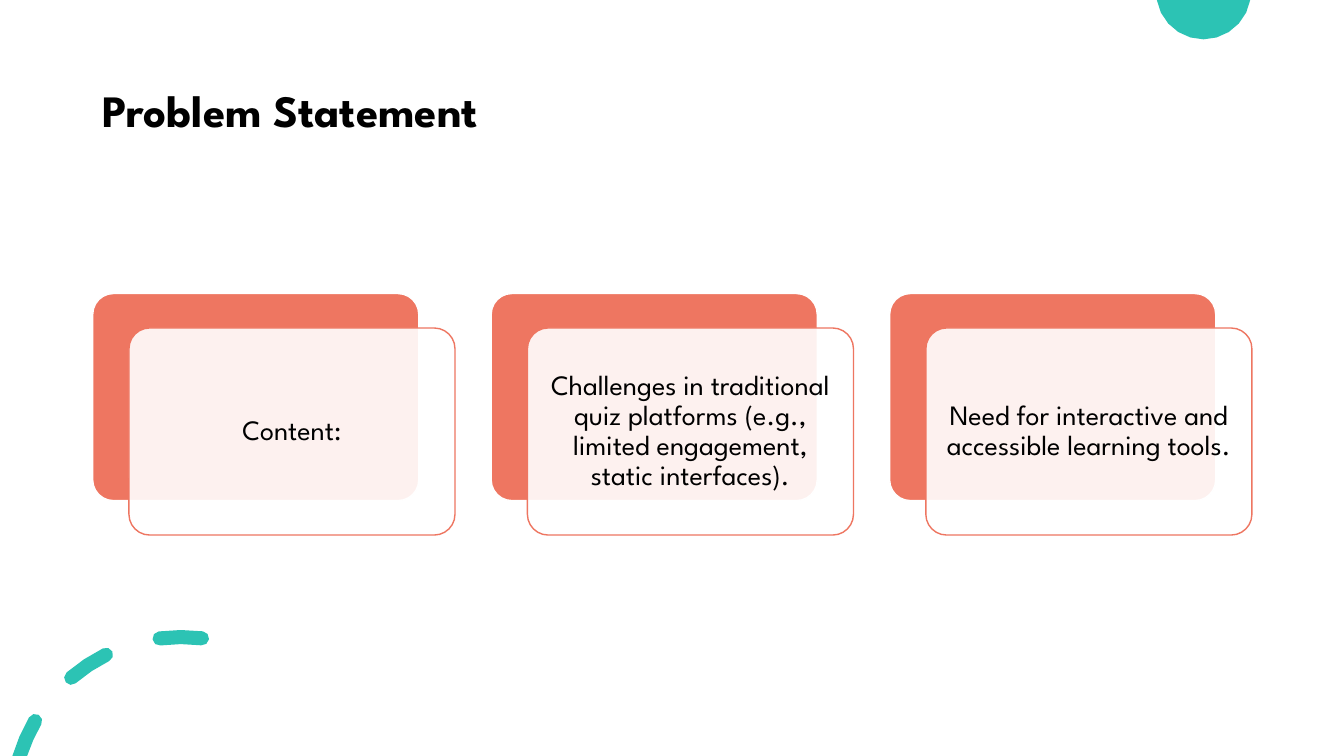
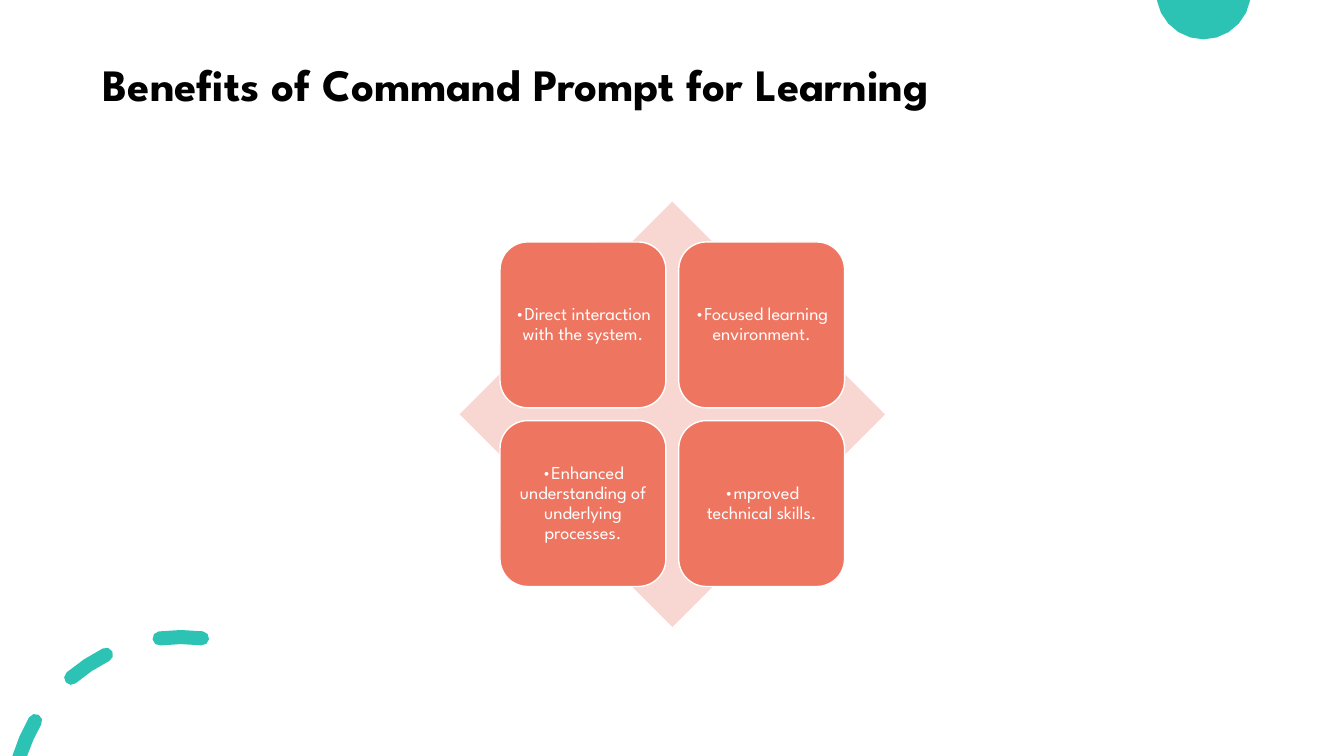
from dataclasses import dataclass
from math import asin, cos, pi, radians, sin

from lxml.etree import SubElement
from pptx import Presentation
from pptx.dml.color import RGBColor
from pptx.enum.shapes import MSO_SHAPE as Shape
from pptx.enum.text import MSO_ANCHOR as Anchor, PP_ALIGN as Align
from pptx.oxml.ns import qn
from pptx.util import Inches, Pt

# Content
PROBLEM_TITLE = "Problem Statement"
PROBLEM_CARDS = [
    "Content:",
    "Challenges in traditional quiz platforms (e.g., limited engagement, static interfaces).",
    "Need for interactive and accessible learning tools.",
]
BENEFITS_TITLE = "Benefits of Command Prompt for Learning"
BENEFIT_TILES = [
    "•Direct interaction with the system.",
    "•Focused learning environment.",
    "•Enhanced understanding of underlying processes.",
    "•mproved technical skills.",
]

# Shared content area, in inches
AREA_LEFT, AREA_WIDTH = 0.92, 11.5
AREA_TOP, AREA_HEIGHT = 2, 4.22


@dataclass(frozen=True)
class Theme:
    font: str = "League Spartan"
    black: str = "000000"
    white: str = "FFFFFF"
    coral: str = "EE7661"
    blush: str = "F8D6D2"
    teal: str = "2CC3B4"
    title_size: int = 32
    card_size: int = 20
    tile_size: int = 13


THEME = Theme()


# Text and shape helpers
def write(box, text, size, color, align, bold=False, margin=None):
    frame = box.text_frame
    frame.word_wrap = True
    frame.vertical_anchor = Anchor.MIDDLE
    if margin is not None:
        for side in ("left", "top", "right", "bottom"):
            setattr(frame, f"margin_{side}", Inches(margin))
    para = frame.paragraphs[0]
    para.alignment = align
    para.line_spacing = 0.9
    span = para.add_run()
    span.text = text
    style = {"name": THEME.font, "size": Pt(size), "bold": bold}
    for name, value in style.items():
        setattr(span.font, name, value)
    span.font.color.rgb = RGBColor.from_string(color)


def paint(shape, fill, line=None, opacity=None):
    shape.shadow.inherit = False
    shape.fill.solid()
    shape.fill.fore_color.rgb = RGBColor.from_string(fill)
    if opacity is not None:
        color = shape.element.spPr.find(qn("a:solidFill"))[0]
        SubElement(color, qn("a:alpha"), val=str(opacity * 1000))
    if line:
        shape.line.color.rgb = RGBColor.from_string(line)
        shape.line.width = Pt(1)
    else:
        shape.line.fill.background()


def add_shape(page, kind, left, top, width, height, fill, line=None,
              opacity=None, corner=None):
    shape = page.shapes.add_shape(
        kind, Inches(left), Inches(top), Inches(width), Inches(height))
    paint(shape, fill, line, opacity)
    if corner is not None:
        shape.adjustments[0] = corner
    return shape


def add_outline(page, contours, fill):
    """Draw closed contours, given in inches, as one filled shape."""
    builder = None
    for contour in contours:
        first, *rest = [(Inches(x), Inches(y)) for x, y in contour]
        if builder is None:
            builder = page.shapes.build_freeform(*first)
        else:
            builder.move_to(*first)
        builder.add_line_segments(rest, close=True)
    shape = builder.convert_to_shape()
    paint(shape, fill)
    return shape


# Shared decoration
def arc(x, y, radius, start, end, steps):
    """Points on a circle; angles run clockwise from the left, in radians."""
    angles = [start + (end - start) * i / steps for i in range(steps + 1)]
    return [(x - radius * cos(a), y - radius * sin(a)) for a in angles]


def dash(start, end):
    """A round-ended piece of the ring; without a start it begins at the slide edge."""
    x, y, radius, half = 1.8, 8, 1.68, 0.07
    outer, inner = radius + half, radius - half
    finish = radians(end)

    def begin(r):
        return asin((y - 7.5) / r) if start is None else radians(start)

    def cap(angle, turn):
        center = x - radius * cos(angle), y - radius * sin(angle)
        return arc(*center, half, turn, turn + pi, 4)[1:-1]

    points = arc(x, y, outer, begin(outer), finish, 2) + cap(finish, finish)
    points += arc(x, y, inner, finish, begin(inner), 2)
    if start is not None:
        points += cap(radians(start), radians(start) + pi)
    return points


def decorate(layout, page):
    """Draw the disc and dashes, then hand them to the layout."""
    x, y, radius = 11.94, -0.08, 0.47
    edge = asin(-y / radius)
    disc = arc(x, y, radius, -edge, edge - pi, 10)
    dashes = [dash(*ends) for ends in ((None, 30.3), (49.4, 63.6), (82.6, 97))]
    ornaments = [add_outline(page, contours, THEME.teal)
                 for contours in ([disc], dashes)]
    for ornament in ornaments:
        layout.shapes.element.append(ornament.element)


def prepare_layout(deck):
    layout = deck.slide_layouts.get_by_name("Title Only")
    for holder in list(layout.placeholders):
        if holder.placeholder_format.idx:
            holder.element.getparent().remove(holder.element)
    place = {"left": AREA_LEFT, "top": 0.4, "width": AREA_WIDTH, "height": 1.45}
    for name, value in place.items():
        setattr(layout.placeholders[0], name, Inches(value))
    return layout


def add_page(deck, layout, title):
    page = deck.slides.add_slide(layout)
    write(page.shapes.title, title, THEME.title_size, THEME.black, Align.LEFT, bold=True)
    return page


# Slides
def build_problem(page):
    # Three cards, gaps of 2/9 card and a last offset of 1/9 fill the width
    width = AREA_WIDTH * 9 / 32
    height, pitch = width * 0.635, width * 11 / 9
    shift_x, shift_y = width / 9, width * 0.95 / 9
    top = AREA_TOP + (AREA_HEIGHT - height - shift_y) / 2
    for i, text in enumerate(PROBLEM_CARDS):
        left = AREA_LEFT + i * pitch
        add_shape(page, Shape.ROUNDED_RECTANGLE, left, top, width, height,
                  THEME.coral, THEME.white, corner=0.1)
        card = add_shape(page, Shape.ROUNDED_RECTANGLE, left + shift_x, top + shift_y,
                         width, height, THEME.white, THEME.coral, 90, 0.1)
        write(card, text, THEME.card_size, THEME.black, Align.CENTER, margin=0.08)


def build_benefits(page):
    size = AREA_HEIGHT
    left = AREA_LEFT + (AREA_WIDTH - size) / 2
    inset, tile, pitch = size * 0.095, size * 0.39, size * 0.42
    # The heading sits above the middle of its box
    page.shapes.title.text_frame.margin_bottom = Inches(0.58)
    add_shape(page, Shape.DIAMOND, left, AREA_TOP, size, size, THEME.blush)
    for i, text in enumerate(BENEFIT_TILES):
        row, column = divmod(i, 2)
        box = add_shape(page, Shape.ROUNDED_RECTANGLE, left + inset + column * pitch,
                        AREA_TOP + inset + row * pitch, tile, tile,
                        THEME.coral, THEME.white)
        write(box, text, THEME.tile_size, THEME.white, Align.CENTER, margin=0.05)


def main():
    deck = Presentation()
    deck.slide_width, deck.slide_height = Inches(40 / 3), Inches(7.5)
    layout = prepare_layout(deck)
    problem = add_page(deck, layout, PROBLEM_TITLE)
    decorate(layout, problem)
    build_problem(problem)
    build_benefits(add_page(deck, layout, BENEFITS_TITLE))
    deck.save("out.pptx")


if __name__ == "__main__":
    main()
